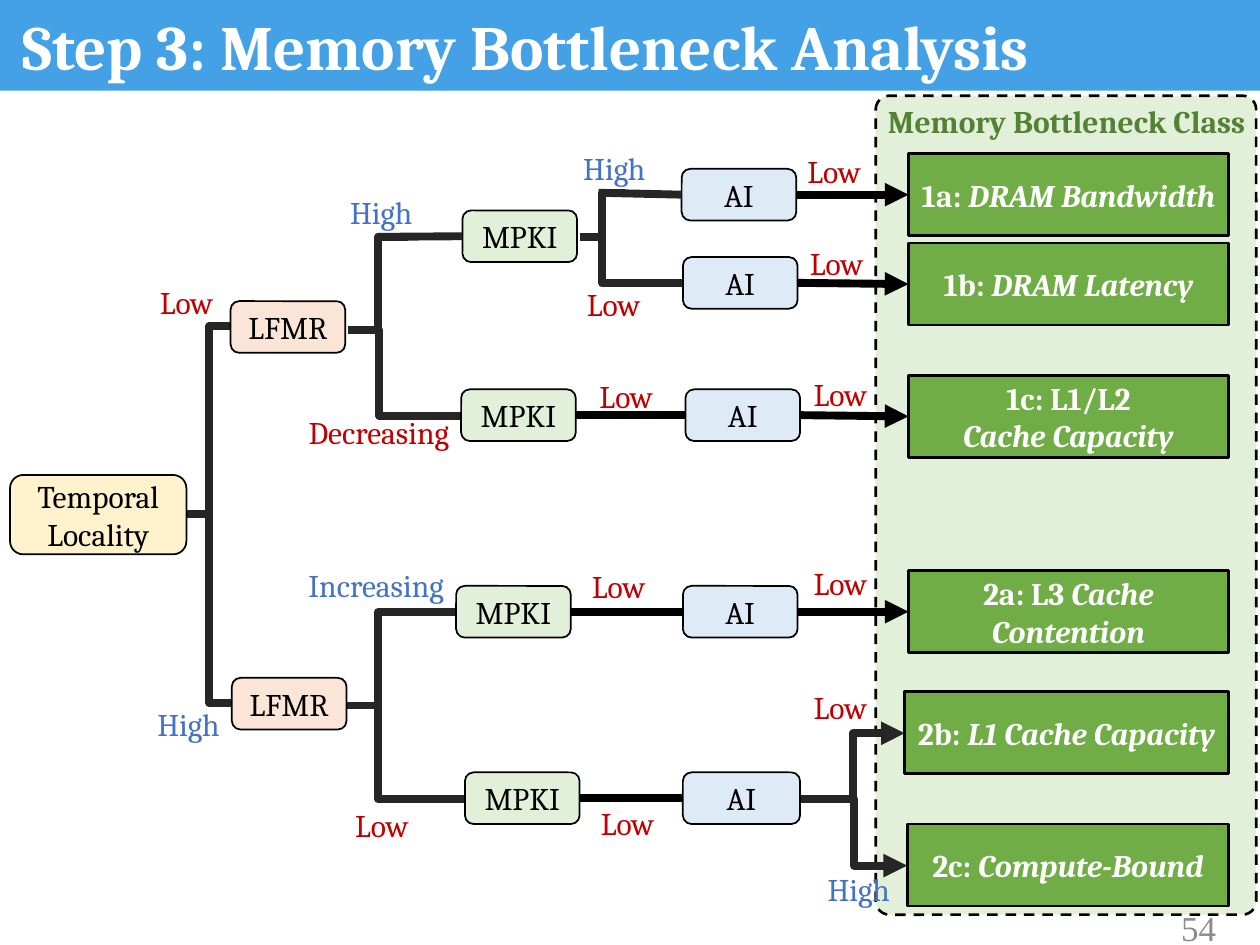
from lxml.etree import SubElement
from pptx import Presentation
from pptx.dml.color import RGBColor
from pptx.enum.dml import MSO_LINE_DASH_STYLE as DASH
from pptx.enum.shapes import MSO_CONNECTOR as LINK, MSO_SHAPE as SHAPE
from pptx.enum.text import MSO_ANCHOR as ANCHOR, MSO_AUTO_SIZE as FIT, PP_ALIGN as ALIGN
from pptx.oxml.ns import qn
from pptx.util import Pt

PX = 9144  # EMU per px, 100 px to the inch
COLORS = {
    "banner": "45A1E6", "white": "FFFFFF", "black": "000000", "branch": "262626",
    "panel": "E2F0D9", "heading": "548235", "class": "70AD47", "number": "8C8C8C",
    "locality": "FFF2CC", "LFMR": "FBE5D6", "MPKI": "E2F0D9", "AI": "DEEBF7",
    "low": "C00000", "high": "4472C4",
}


def write(box, text, color="black", size=18, font="Cambria", bold=False,
          align=ALIGN.LEFT, anchor=ANCHOR.TOP, wrap=True, margin=10):
    """Fill a box with lines of text; parts between asterisks are italic."""
    frame = box.text_frame
    frame.auto_size, frame.word_wrap, frame.vertical_anchor = FIT.NONE, wrap, anchor
    frame.margin_left = frame.margin_right = margin * PX
    for row, line in enumerate(text.split("\n")):
        para = frame.add_paragraph() if row else frame.paragraphs[0]
        para.alignment = align
        for part, words in enumerate(line.split("*")):
            if words:
                span = para.add_run()
                span.text = words
                span.font.name, span.font.size = font, Pt(size)
                span.font.bold, span.font.italic = bold, part % 2 == 1
                span.font.color.rgb = RGBColor.from_string(COLORS[color])


def add_block(kind, bounds, fill, outline=None):
    block = page.shapes.add_shape(kind, *(value * PX for value in bounds))
    block.shadow.inherit = False
    block.fill.solid()
    block.fill.fore_color.rgb = RGBColor.from_string(COLORS[fill])
    if outline:
        block.line.color.rgb = RGBColor.from_string(COLORS["black"])
        block.line.width = Pt(outline)
    else:
        block.line.fill.background()
    return block


deck = Presentation()
deck.slide_width, deck.slide_height = 1000 * PX, 750 * PX
page = deck.slides.add_slide(deck.slide_layouts[5])

# Title on its banner
title = page.shapes.title
banner = add_block(SHAPE.RECTANGLE, (0, -3, 1000, 75), "banner")
title.element.addprevious(banner.element)
title.left, title.top, title.width, title.height = 8 * PX, 8 * PX, 983 * PX, 81 * PX
write(title, "Step 3: Memory Bottleneck Analysis", color="white", size=36, bold=True)
title.text_frame.paragraphs[0].line_spacing = 0.9

# Panel behind the bottleneck classes
panel = add_block(SHAPE.ROUNDED_RECTANGLE, (695, 76, 302, 650), "panel", 1.5)
panel.adjustments[0] = 0.036
panel.line.dash_style = DASH.DASH

# Branches: start, end, x of the vertical part, arrowhead
links = []
for x1, y1, x2, y2, bend, arrow in [
    (148, 408, 184, 259, 166, False), (148, 408, 184, 558, 166, False),
    (276, 262, 324, 188, 300, False), (276, 262, 366, 330, 301, False),
    (460, 188, 496, 153, 478, False), (460, 188, 542, 225, 478, False),
    (275, 560, 362, 486, 300, False), (275, 560, 369, 634, 300, False),
    (636, 634, 718, 582, 677, True), (636, 634, 720, 687, 678, True),
]:
    branch = page.shapes.add_connector(LINK.ELBOW, x1 * PX, y1 * PX, x2 * PX, y2 * PX)
    guides = branch.element.spPr.find(qn("a:prstGeom")).get_or_add_avLst()
    share = round((bend - x1) / (x2 - x1) * 100000)
    SubElement(guides, qn("a:gd"), name="adj1", fmla=f"val {share}")
    links.append((branch, "branch", arrow))

# Decision nodes
blocks = {}
for key, text, fill, x, y, w, h in [
    ("locality", "Temporal Locality", "locality", 8, 377, 140, 63),
    ("lfmr 1", "LFMR", "LFMR", 183, 239, 91, 41),
    ("lfmr 2", "LFMR", "LFMR", 184, 538, 91, 41),
    ("mpki 1ab", "MPKI", "MPKI", 367, 167, 91, 41),
    ("mpki 1c", "MPKI", "MPKI", 366, 309, 91, 41),
    ("mpki 2a", "MPKI", "MPKI", 362, 465, 91, 41),
    ("mpki 2bc", "MPKI", "MPKI", 369, 613, 91, 41),
    ("ai 1a", "AI", "AI", 541, 134, 91, 41),
    ("ai 1b", "AI", "AI", 542, 204, 91, 41),
    ("ai 1c", "AI", "AI", 544, 309, 91, 41),
    ("ai 2a", "AI", "AI", 542, 465, 91, 41),
    ("ai 2bc", "AI", "AI", 542, 613, 93, 41),
]:
    blocks[key] = add_block(SHAPE.ROUNDED_RECTANGLE, (x, y, w, h), fill, 1)
    write(blocks[key], text, align=ALIGN.CENTER, anchor=ANCHOR.MIDDLE)

# Bottleneck classes, all ending at the same right edge
for key, text, x, y in [
    ("1a", "1a: *DRAM Bandwidth*", 721, 122),
    ("1b", "1b: *DRAM Latency*", 721, 193),
    ("1c", "1c: L1/L2\n*Cache Capacity*", 721, 298),
    ("2a", "2a: L3 *Cache Contention*", 721, 453),
    ("2b", "2b: *L1 Cache Capacity*", 718, 549),
    ("2c", "2c: *Compute-Bound*", 720, 654),
]:
    blocks[key] = add_block(SHAPE.RECTANGLE, (x, y, 975 - x, 65), "class", 1.5)
    write(blocks[key], text, color="white", bold=True, align=ALIGN.CENTER,
          anchor=ANCHOR.MIDDLE, margin=5)

# Straight links between blocks
for start, end, arrow in [
    ("mpki 1c", "ai 1c", False), ("mpki 2a", "ai 2a", False), ("mpki 2bc", "ai 2bc", False),
    ("ai 1a", "1a", True), ("ai 1b", "1b", True), ("ai 1c", "1c", True), ("ai 2a", "2a", True),
]:
    link = page.shapes.add_connector(LINK.STRAIGHT, 0, 0, 0, 0)
    link.begin_connect(blocks[start], 3)
    link.end_connect(blocks[end], 1)
    links.append((link, "black", arrow))

# Straight ends of the upper branches
for x, y, end in [(299, 188, "mpki 1ab"), (475, 153, "ai 1a")]:
    link = page.shapes.add_connector(LINK.STRAIGHT, x * PX, y * PX, 543 * PX, y * PX)
    link.end_connect(blocks[end], 1)
    links.append((link, "branch", False))

# Line style and arrowheads
for link, color, arrow in links:
    link.line.color.rgb = RGBColor.from_string(COLORS[color])
    link.line.width = Pt(4.5)
    if arrow:
        SubElement(link.line._get_or_add_ln(), qn("a:tailEnd"), type="triangle")
    SubElement(link.element.spPr, qn("a:effectLst"))

# Branch labels
for text, color, width, places in [
    ("Low", "low", 67, [(117, 220), (272, 635), (456, 221), (466, 294), (460, 445),
                        (467, 633), (631, 116), (633, 189), (636, 293), (636, 443),
                        (636, 541)]),
    ("High", "high", 71, [(115, 555), (268, 148), (453, 113), (647, 686)]),
    ("Decreasing", "low", 145, [(235, 323)]),
    ("Increasing", "high", 133, [(235, 444)]),
]:
    for x, y in places:
        label = page.shapes.add_textbox(x * PX, y * PX, width * PX, 40 * PX)
        write(label, text, color=color, wrap=False)

# Panel heading and page number
heading = page.shapes.add_textbox(662 * PX, 76 * PX, 369 * PX, 40 * PX)
write(heading, "Memory Bottleneck Class", color="heading", bold=True, align=ALIGN.CENTER)
number = page.shapes.add_textbox(867 * PX, 716 * PX, 108 * PX, 40 * PX)
write(number, "54", color="number", size=20, font="Times New Roman",
      align=ALIGN.RIGHT, anchor=ANCHOR.MIDDLE)

deck.save("out.pptx")
